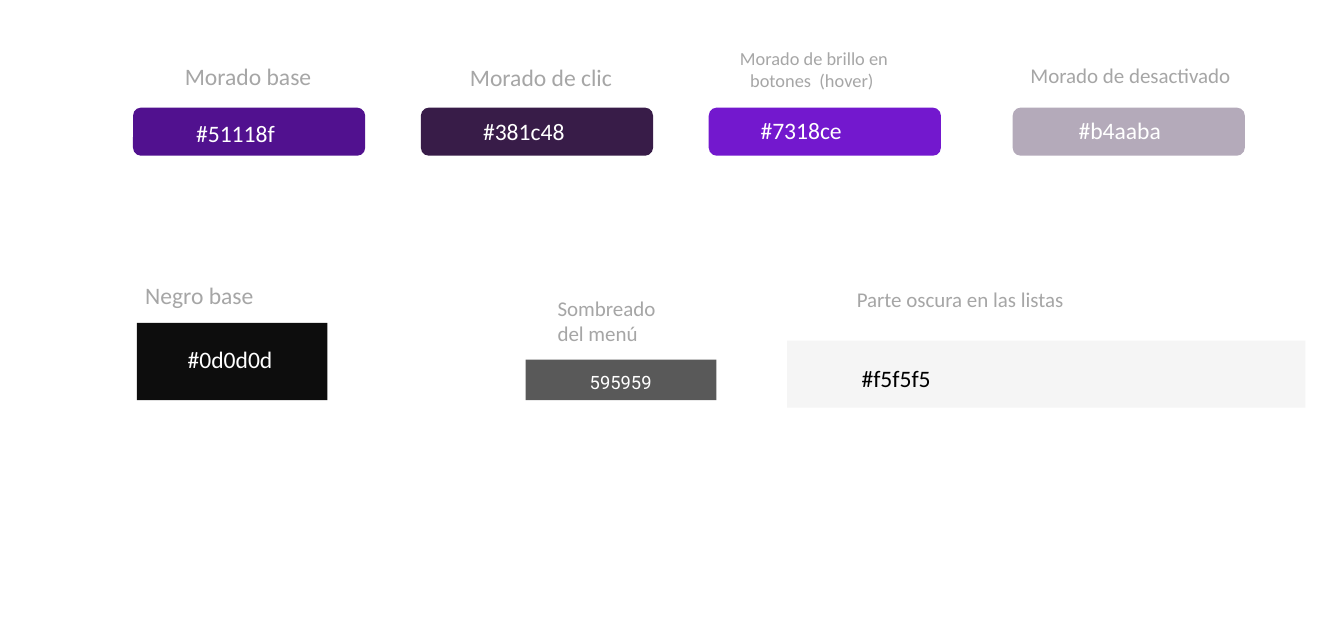
from dataclasses import dataclass
from pptx import Presentation
from pptx.dml.color import RGBColor as Rgb
from pptx.enum.shapes import MSO_SHAPE as Kind
from pptx.enum.text import PP_ALIGN as Align
from pptx.util import Inches, Pt


@dataclass(frozen=True)
class Theme:
    font: str = "Calibri"
    menu_font: str = "Roboto"
    label: str = "A6A6A6"
    light: str = "FFFFFF"
    dark: str = "000000"
    large: int = 18
    medium: int = 16
    small: int = 14


theme = Theme()
CELL = Inches(0.1)  # one column or row of the slide grid

deck = Presentation()
deck.slide_width, deck.slide_height = Inches(14.24), Inches(6.76)
slide = deck.slides.add_slide(deck.slide_layouts[6])


def place(*cells):
    """Turn left, top, width and height in grid cells into lengths."""
    return [round(n * CELL) for n in cells]


def write(text, box, size=theme.large, color=theme.light, font=theme.font,
          align=Align.LEFT, wrap=True):
    frame = slide.shapes.add_textbox(*place(*box)).text_frame
    frame.word_wrap = wrap
    par = frame.paragraphs[0]
    par.alignment = align
    run = par.add_run()
    run.text = text
    run.font.name = font
    run.font.size = Pt(size)
    run.font.color.rgb = Rgb.from_string(color)


# Purple buttons: three at an equal step, the disabled one set apart
left, step, top, wide, high = 14.1, 30.5, 11.4, 24.6, 5.1
buttons = [left + step * n for n in range(3)] + [107.3]
code_w, line_h = 13.3, 4

# Each swatch: kind, box, fill, label, label box, label format,
# code, code box, code format
swatches = [
    (Kind.ROUNDED_RECTANGLE, (buttons[0], top, wide, high), "51118F",
     "Morado base", (18.6, 6.1, 15.5, line_h), {},
     "#51118f", (19.8, 12.1, code_w, line_h), {}),
    (Kind.ROUNDED_RECTANGLE, (buttons[1], top, wide, high), "381C48",
     "Morado de clic", (48.8, 6.2, 18.5, line_h), {},
     "#381c48", (50.2, 11.9, code_w, line_h), {}),
    (Kind.ROUNDED_RECTANGLE, (buttons[2], top, wide, high), "7318CE",
     "Morado de brillo en botones  (hover) ", (76, 4.5, 20.5, 5.7),
     {"size": theme.small, "align": Align.CENTER},
     "#7318ce", (79.6, 11.8, code_w, line_h), {}),
    (Kind.ROUNDED_RECTANGLE, (buttons[3], top, wide, high), "B4AABA",
     "Morado de desactivado", (108.2, 6.1, 27, 3.7), {"size": theme.medium},
     "#b4aaba", (113.3, 11.8, code_w, line_h), {}),
    (Kind.RECTANGLE, (14.5, 34.2, 20.2, 8.2), "0D0D0D",
     "Negro base", (14.4, 29.3, 15.5, line_h), {},
     "#0d0d0d", (18.9, 36.1, code_w, line_h), {}),
    (Kind.RECTANGLE, (55.7, 38.1, 20.2, 4.3), "595959",
     "Sombreado del menú", (58.1, 30.8, 15.5, 6.4), {"size": theme.medium},
     "595959", (61.5, 38.8, 8.6, 3.4),
     {"size": theme.small, "font": theme.menu_font, "wrap": False}),
    (Kind.RECTANGLE, (83.4, 36.1, 54.9, 7.1), "F5F5F5",
     "Parte oscura en las listas", (89.8, 29.9, 24.6, 3.7), {"size": theme.medium},
     "#f5f5f5", (90.3, 38.1, code_w, line_h), {"color": theme.dark}),
]

for kind, box, fill, label, label_box, label_look, code, code_box, code_look in swatches:
    swatch = slide.shapes.add_shape(kind, *place(*box))
    swatch.shadow.inherit = False
    swatch.fill.solid()
    swatch.fill.fore_color.rgb = Rgb.from_string(fill)
    swatch.line.fill.background()
    write(label, label_box, color=theme.label, **label_look)
    write(code, code_box, **code_look)

deck.save("out.pptx")
